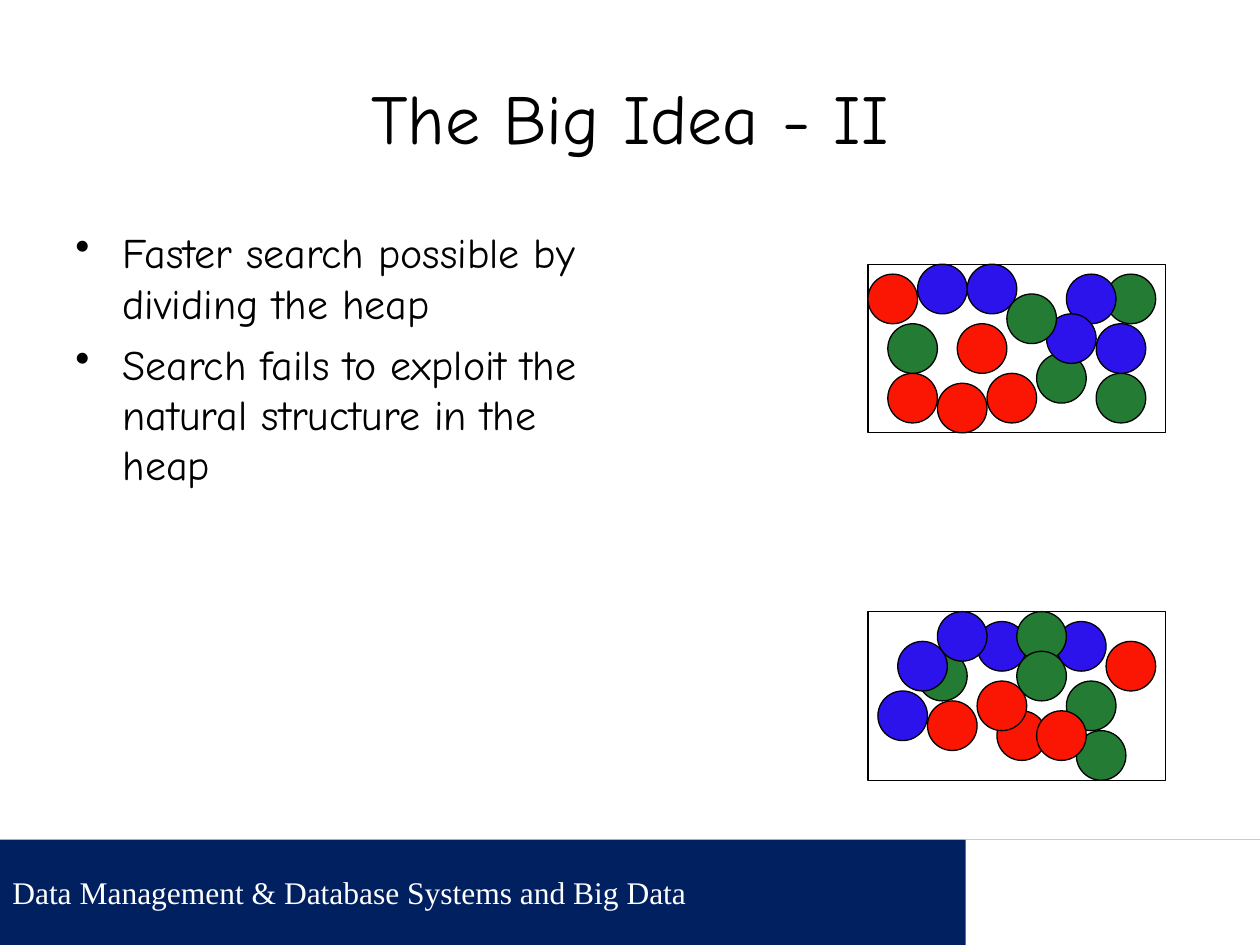
"""Build the slide 'The Big Idea - II' with two heaps of coloured balls."""
import pptx
import pptx.util
import pptx.dml.color
import pptx.enum.shapes
import pptx.enum.text
import pptx.oxml
import pptx.oxml.ns
from pptx.util import Pt

COLORS = {"navy": "002060", "white": "FFFFFF", "black": "000000",
          "red": "FB1503", "green": "237B34", "blue": "2D13EB"}
FONT = "Comic Neue"
TITLE = "The Big Idea - II"
BULLETS = ["Faster search possible by dividing the heap",
           "Search fails to exploit the natural structure in the heap"]
FOOTER = "Data Management & Database Systems and Big Data"

UNIT = 5.67
BALL = 5
BOX_LEFT, BOX_COLS, BOX_ROWS = 496, 30, 17
HEAPS = [
    (151, [("red", 2, 11), ("green", 23, 11), ("blue", 10, 0), ("red", 9, 6),
           ("red", 0, 1), ("red", 12, 11), ("green", 2, 6), ("green", 17, 9),
           ("green", 24, 1), ("blue", 20, 1), ("blue", 5, 0), ("blue", 23, 6),
           ("blue", 18, 5), ("red", 7, 12), ("green", 14, 3)]),
    (349.5, [("red", 13, 10), ("red", 6, 9), ("green", 5, 4), ("green", 21, 12),
             ("blue", 11, 1), ("blue", 1, 8), ("green", 20, 7), ("red", 17, 10),
             ("blue", 19, 1), ("blue", 7, 0), ("blue", 3, 3), ("red", 11, 7),
             ("red", 24, 3), ("green", 15, 0), ("green", 15, 4)]),
]

SHAPE = pptx.enum.shapes.MSO_SHAPE
ALIGN = pptx.enum.text.PP_ALIGN
ANCHOR = pptx.enum.text.MSO_ANCHOR


def rgb(name):
    return pptx.dml.color.RGBColor.from_string(COLORS[name])


def add_shape(s, kind, x, y, w, h, fill, outlined=True):
    sp = s.shapes.add_shape(kind, Pt(x), Pt(y), Pt(w), Pt(h))
    sp.shadow.inherit = False
    sp.fill.solid()
    sp.fill.fore_color.rgb = rgb(fill)
    if outlined:
        sp.line.color.rgb = rgb("black")
        sp.line.width = Pt(0.74)
    else:
        sp.line.fill.background()
    return sp


def write(sp, lines, size, font, color, align, anchor):
    tf = sp.text_frame
    tf.word_wrap = True
    tf.vertical_anchor = anchor
    tf.text = "\n".join(lines)
    for p in tf.paragraphs:
        p.alignment = align
        p.font.size = Pt(size)
        p.font.name = font
        p.font.color.rgb = rgb(color)
    return tf


def add_bullet(p):
    p.space_before = Pt(6)
    pPr = p._p.get_or_add_pPr()
    pPr.set("marL", str(Pt(27)))
    pPr.set("indent", str(-Pt(27)))
    bullet = pptx.oxml.parse_xml(
        '<a:buChar %s char="\u2022"/>' % pptx.oxml.ns.nsdecls("a"))
    pPr.insert_element_before(bullet, "a:tabLst", "a:defRPr", "a:extLst")


prs = pptx.Presentation()
prs.slide_width, prs.slide_height = Pt(720), Pt(540)
s = prs.slides.add_slide(prs.slide_layouts[6])

footer = add_shape(s, SHAPE.RECTANGLE, 0, 479.75, 720, 60.25, "navy", False)
write(footer, [FOOTER], 18, "Times New Roman", "white", ALIGN.LEFT, ANCHOR.MIDDLE)
add_shape(s, SHAPE.RECTANGLE, 551.75, 479.75, 168.25, 60.25, "white", False)

title = s.shapes.add_textbox(Pt(36), Pt(21.6), Pt(648), Pt(90))
write(title, [TITLE], 40, FONT, "black", ALIGN.CENTER, ANCHOR.MIDDLE)

body = s.shapes.add_textbox(Pt(36), Pt(126), Pt(318), Pt(356))
tf = write(body, BULLETS, 24, FONT, "black", ALIGN.LEFT, ANCHOR.TOP)
for p in tf.paragraphs:
    add_bullet(p)

for top, balls in HEAPS:
    add_shape(s, SHAPE.RECTANGLE, BOX_LEFT, top, BOX_COLS * UNIT, BOX_ROWS * UNIT, "white")
    for color, col, row in balls:
        add_shape(s, SHAPE.OVAL, BOX_LEFT + col * UNIT, top + row * UNIT,
                  BALL * UNIT, BALL * UNIT, color)

prs.save("out.pptx")
